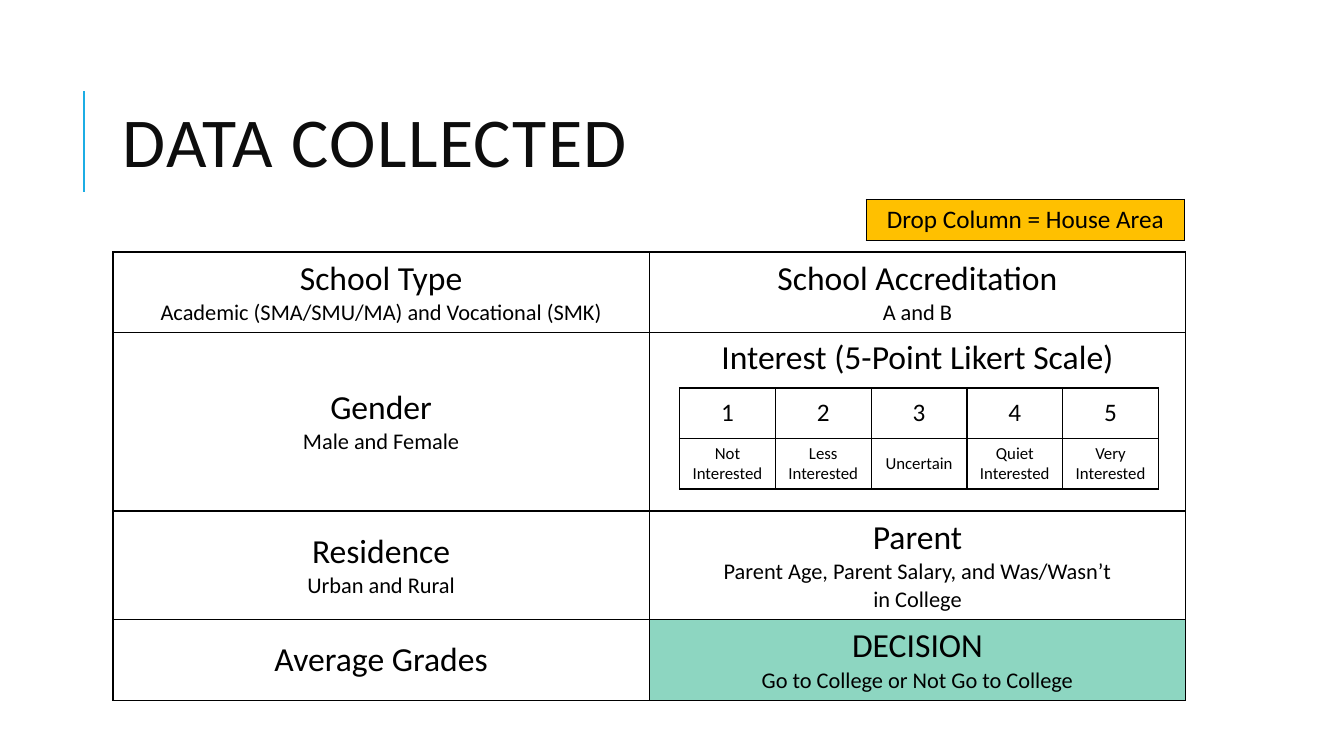
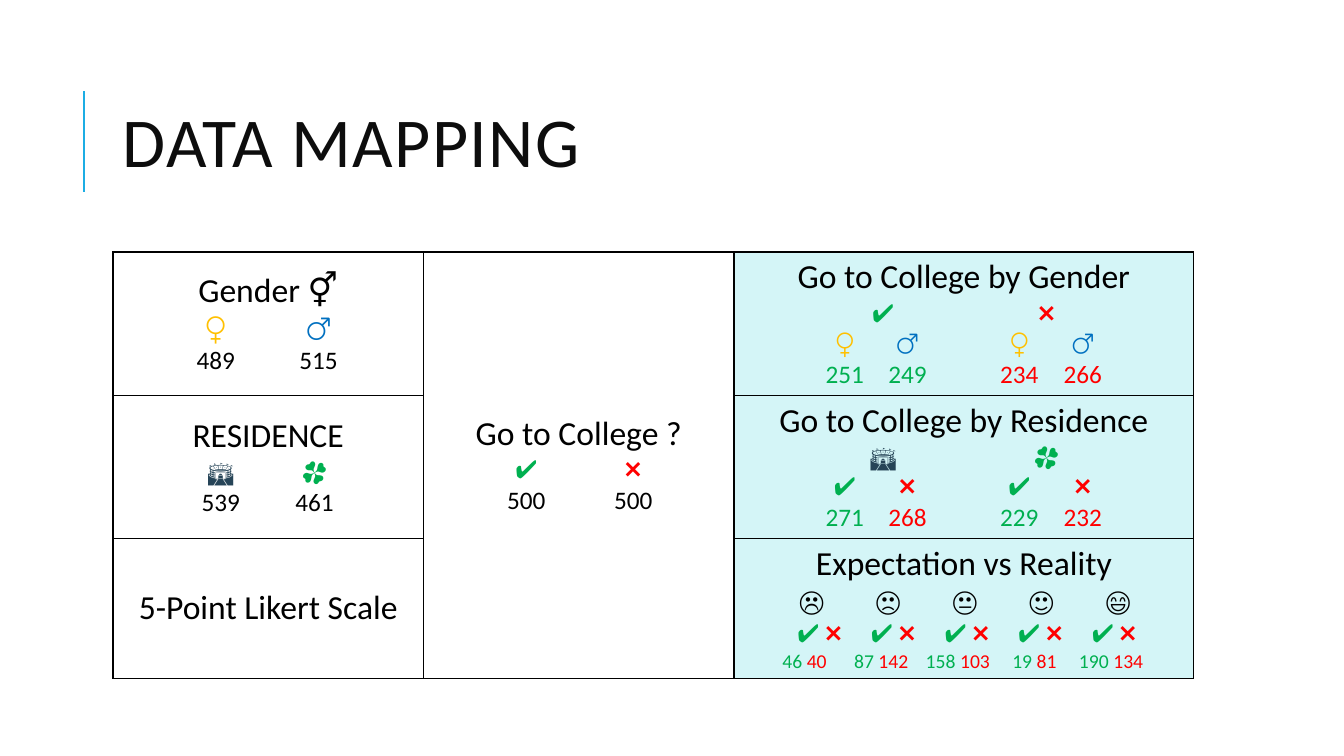
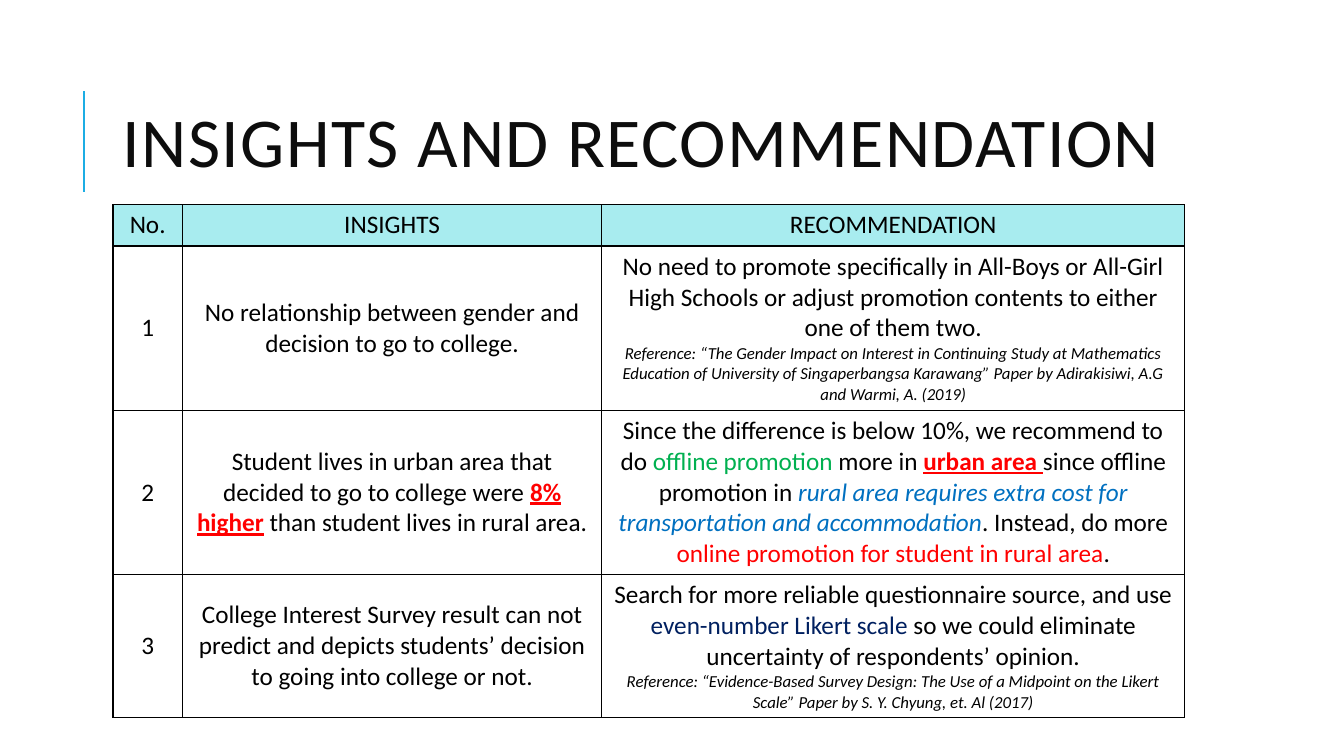
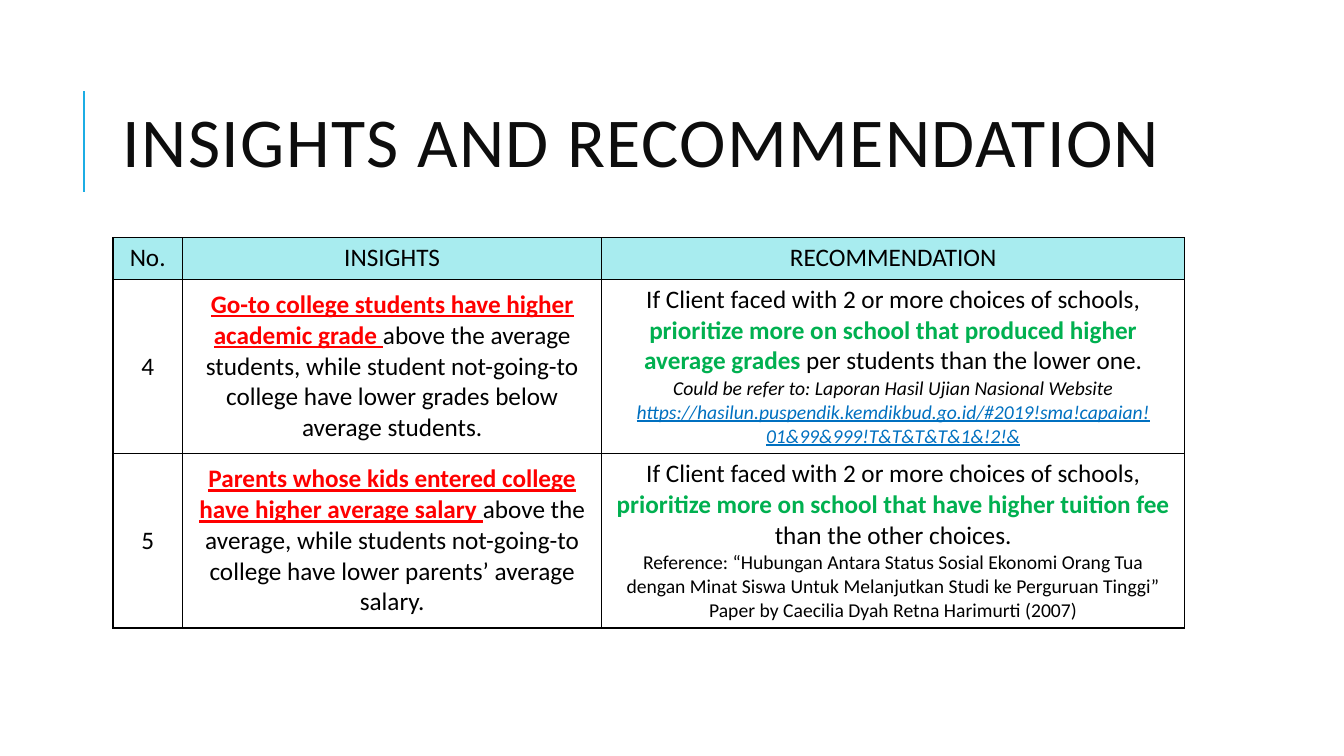
from dataclasses import dataclass
from itertools import cycle

from lxml.etree import SubElement
from pptx import Presentation
from pptx.dml.color import RGBColor
from pptx.enum.shapes import MSO_CONNECTOR
from pptx.enum.text import MSO_ANCHOR, PP_ALIGN
from pptx.oxml.ns import qn
from pptx.util import Inches, Pt

FONT = "Calibri"
BLACK, TITLE_INK, ACCENT = "000000", "0D0D0D", "1CADE4"
RED, GREEN, BLUE, NAVY, GOLD, SLATE = "FF0000", "00B050", "0070C0", "002060", "FFC000", "264457"
HEADER_FILL, RESULT_FILL, DECISION_FILL = "A8ECEF", "D4F5F7", "8DD6C1"
LEFT = 1.12

KEY = {"color": RED, "bold": True, "underline": True}
ADVICE = {"color": GREEN, "bold": True}


def rgb(hex_code):
    return RGBColor.from_string(hex_code)


@dataclass
class Line:
    """One paragraph: a string, or a list of strings and (string, style) spans."""
    spans: object
    size: int = 18
    italic: bool = False
    stops: tuple = ()


@dataclass
class Cell:
    lines: list
    fill: str = ""
    anchor: object = MSO_ANCHOR.MIDDLE


def entry(heading, *details, fill="", anchor=MSO_ANCHOR.MIDDLE):
    """A cell with a large heading over smaller lines."""
    lines = [detail if isinstance(detail, Line) else Line(detail, 16) for detail in details]
    return Cell([Line(heading, 24), *lines], fill, anchor)


def tabbed(texts, colors, stops, size=18):
    """Coloured items, each centred on its own tab stop."""
    spans = [("\t" + text, {"color": color}) for text, color in zip(texts, cycle(colors))]
    return Line(spans, size, stops=stops)


def tabbed_pairs(pairs, stops, size=18):
    """Green and red pairs, each pair centred on one tab stop."""
    spans = []
    for yes, no in pairs:
        spans += [(f"\t{yes} ", {"color": GREEN}), (str(no), {"color": RED})]
    return Line(spans, size, stops=stops)


def even_stops(first, step, count=5):
    return tuple(first + step * index for index in range(count))


class Deck:
    def __init__(self):
        self.deck = Presentation()
        self.deck.slide_width, self.deck.slide_height = Inches(13.33), Inches(7.5)
        self.page = None

    def add_page(self, title):
        self.page = self.deck.slides.add_slide(self.deck.slide_layouts[6])
        self.accent_line()
        self.title(title)

    def accent_line(self):
        line = self.page.shapes.add_connector(
            MSO_CONNECTOR.STRAIGHT, Inches(0.83), Inches(1.9), Inches(0.83), Inches(0.9))
        line.line.color.rgb = rgb(ACCENT)
        line.line.width = Pt(1.5)
        SubElement(line._element.spPr, qn("a:effectLst"))

    def title(self, text):
        box = self.page.shapes.add_textbox(Inches(LEFT), Inches(0.64), Inches(10.63), Inches(1.64))
        frame = box.text_frame
        frame.word_wrap = True
        frame.vertical_anchor = MSO_ANCHOR.MIDDLE
        para = frame.paragraphs[0]
        para.line_spacing = 0.8
        self.font(para, 50, TITLE_INK)
        span = para.add_run()
        span.text = text
        span._r.get_or_add_rPr().set("spc", "100")

    def font(self, para, size, color=BLACK):
        para.font.name = FONT
        para.font.size = Pt(size)
        para.font.color.rgb = rgb(color)

    def table(self, left, top, widths, heights, rows):
        """Draw a bordered table; None in rows is a cell covered by the one above."""
        frame = self.page.shapes.add_table(
            len(heights), len(widths), Inches(left), Inches(top),
            Inches(sum(widths)), Inches(sum(heights)))
        table = frame.table
        table.first_row = table.horz_banding = False
        for column, width in zip(table.columns, widths):
            column.width = Inches(width)
        for row, height in zip(table.rows, heights):
            row.height = Inches(height)
        for row_index, row in enumerate(rows):
            for column_index, content in enumerate(row):
                cell = table.cell(row_index, column_index)
                self.borders(cell)
                if content is None:
                    cell.fill.background()
                    continue
                self.fill_cell(cell, content)
                last = row_index
                while last + 1 < len(rows) and rows[last + 1][column_index] is None:
                    last += 1
                if last > row_index:
                    cell.merge(table.cell(last, column_index))

    def borders(self, cell):
        properties = cell._tc.get_or_add_tcPr()
        for side in ("lnL", "lnR", "lnT", "lnB"):
            edge = SubElement(properties, qn("a:" + side), w=str(Pt(1)))
            solid = SubElement(edge, qn("a:solidFill"))
            SubElement(solid, qn("a:srgbClr"), val=BLACK)

    def fill_cell(self, cell, content):
        if content.fill:
            cell.fill.solid()
            cell.fill.fore_color.rgb = rgb(content.fill)
        else:
            cell.fill.background()
        cell.vertical_anchor = content.anchor
        frame = cell.text_frame
        for index, line in enumerate(content.lines):
            para = frame.add_paragraph() if index else frame.paragraphs[0]
            self.set_line(para, line)

    def set_line(self, para, line):
        self.font(para, line.size)
        para.font.italic = line.italic
        para.alignment = PP_ALIGN.LEFT if line.stops else PP_ALIGN.CENTER
        if line.stops:
            self.tab_stops(para, line.stops)
        for part in [line.spans] if isinstance(line.spans, str) else line.spans:
            text, style = (part, {}) if isinstance(part, str) else part
            span = para.add_run()
            span.text = text
            span.font.bold = style.get("bold")
            span.font.italic = style.get("italic")
            span.font.underline = style.get("underline")
            if "color" in style:
                span.font.color.rgb = rgb(style["color"])

    def tab_stops(self, para, stops):
        properties = para._p.get_or_add_pPr()
        tabs = SubElement(properties, qn("a:tabLst"))
        for stop in stops:
            SubElement(tabs, qn("a:tab"), pos=str(Inches(stop)), algn="ctr")
        properties.insert(0, tabs)

    def insights(self, top, heights, findings):
        """Numbered table of (number, insight line, recommendation lines)."""
        header = [Cell([Line(text)], HEADER_FILL, MSO_ANCHOR.TOP)
                  for text in ("No.", "INSIGHTS", "RECOMMENDATION")]
        rows = [[Cell([Line(str(number))]), Cell([Line(insight)]), Cell(advice)]
                for number, insight, advice in findings]
        self.table(LEFT, top, [0.69, 4.16, 5.78], [0.41, *heights], [header, *rows])


def add_data_collected(deck):
    deck.add_page("DATA COLLECTED")
    deck.table(LEFT, 2.5, [5.32] * 2, [0.8, 1.77, 1.08, 0.8], [
        [entry("School Type", "Academic (SMA/SMU/MA) and Vocational (SMK)"),
         entry("School Accreditation", "A and B")],
        [entry("Gender", "Male and Female"),
         entry("Interest (5-Point Likert Scale)", anchor=MSO_ANCHOR.TOP)],
        [entry("Residence", "Urban and Rural"),
         entry("Parent", "Parent Age, Parent Salary, and Was/Wasn’t", "in College")],
        [entry("Average Grades"),
         entry("DECISION", "Go to College or Not Go to College", fill=DECISION_FILL)],
    ])
    scale = ["Not Interested", "Less Interested", "Uncertain", "Quiet Interested", "Very Interested"]
    deck.table(6.74, 3.85, [0.95] * 5, [0.5] * 2, [
        [Cell([Line(str(score))]) for score in range(1, 6)],
        [Cell([Line(label, 12)]) for label in scale],
    ])
    deck.table(8.59, 1.98, [3.16], [0.41],
               [[Cell([Line("Drop Column = House Area")], GOLD, MSO_ANCHOR.TOP)]])


def add_data_mapping(deck):
    deck.add_page("DATA MAPPING")
    answers, answer_colors = ["✔", "❌"], [GREEN, RED]
    sexes, sex_colors = ["♀", "♂"], [GOLD, BLUE]
    places, place_colors = ["🏟", "🍀"], [SLATE, GREEN]
    gender_stops, place_stops, college_stops = (0.92, 1.94), (0.97, 1.9), (0.92, 1.98)
    group_stops, pair_stops = (1.38, 3.0), (1.0, 1.62, 2.73, 3.36)
    reality = [(46, 40), (87, 142), (158, 103), (19, 81), (190, 134)]

    gender = entry("Gender ⚥", tabbed(sexes, sex_colors, gender_stops, 20),
                   tabbed(["489", "515"], [BLACK], gender_stops))
    college = entry("Go to College ?", tabbed(answers, answer_colors, college_stops),
                    tabbed(["500", "500"], [BLACK], college_stops))
    by_gender = entry(
        "Go to College by Gender", tabbed(answers, answer_colors, group_stops),
        tabbed(sexes * 2, sex_colors, pair_stops),
        tabbed(["251", "249", "234", "266"], [GREEN, GREEN, RED, RED], pair_stops),
        fill=RESULT_FILL)
    residence = entry("RESIDENCE", tabbed(places, place_colors, place_stops),
                      tabbed(["539", "461"], [BLACK], place_stops))
    by_residence = entry(
        "Go to College by Residence", tabbed(places, place_colors, group_stops),
        tabbed(answers * 2, answer_colors, pair_stops),
        tabbed(["271", "268", "229", "232"], answer_colors, pair_stops),
        fill=RESULT_FILL)
    expectation = entry(
        "Expectation vs Reality",
        tabbed("☹🙁😐🙂😄", [BLACK], even_stops(0.67, 0.76), 20),
        tabbed_pairs([answers] * 5, even_stops(0.75, 0.73)),
        tabbed_pairs(reality, even_stops(0.6, 0.76), 14),
        fill=RESULT_FILL)
    deck.table(LEFT, 2.5, [3.08, 3.08, 4.56], [1.42, 1.42, 1.39], [
        [gender, college, by_gender],
        [residence, None, by_residence],
        [entry("5-Point Likert Scale"), None, expectation],
    ])


def add_first_insights(deck):
    deck.add_page("INSIGHTS AND RECOMMENDATION")
    deck.insights(2.03, [1.63, 1.63, 1.42], [
        (1, "No relationship between gender and decision to go to college.", [
            Line("No need to promote specifically in All-Boys or All-Girl High Schools or adjust "
                 "promotion contents to either one of them two."),
            Line("Reference: “The Gender Impact on Interest in Continuing Study at Mathematics "
                 "Education of University of Singaperbangsa Karawang” Paper by Adirakisiwi, A.G "
                 "and Warmi, A. (2019)", 12, italic=True)]),
        (2, ["Student lives in urban area that decided to go to college were ",
             ("8% higher", KEY), " than student lives in rural area."], [
            Line(["Since the difference is below 10%, we recommend to do ",
                  ("offline promotion", {"color": GREEN}), " more in ", ("urban area ", KEY),
                  "since offline promotion in ",
                  ("rural area requires extra cost for transportation and accommodation",
                   {"color": BLUE, "italic": True}),
                  ". Instead, do more ",
                  ("online promotion for student in rural area", {"color": RED}), "."])]),
        (3, "College Interest Survey result can not predict and depicts students’ decision to "
            "going into college or not.", [
            Line(["Search for more reliable questionnaire source, and use ",
                  ("even-number Likert scale", {"color": NAVY}),
                  " so we could eliminate uncertainty of respondents’ opinion."]),
            Line("Reference: “Evidence-Based Survey Design: The Use of a Midpoint on the Likert "
                 "Scale” Paper by S. Y. Chyung, et. Al (2017)", 12, italic=True)]),
    ])


def add_last_insights(deck):
    deck.add_page("INSIGHTS AND RECOMMENDATION")
    condition = "If Client faced with 2 or more choices of schools, "
    deck.insights(2.36, [1.73, 1.73], [
        (4, [("Go-to college students have higher academic grade ", KEY),
             "above the average students, while student not-going-to college have lower grades "
             "below average students."], [
            Line([condition,
                  ("prioritize more on school that produced higher average grades ", ADVICE),
                  "per students than the lower one."]),
            Line(["Could be refer to: Laporan Hasil Ujian Nasional Website ",
                  ("https://hasilun.puspendik.kemdikbud.go.id/#2019!sma!capaian!"
                   "01&99&999!T&T&T&T&1&!2!&", {"color": BLUE, "underline": True})],
                 14, italic=True)]),
        (5, [("Parents whose kids entered college have higher average salary ", KEY),
             "above the average, while students not-going-to college have lower parents’ "
             "average salary."], [
            Line([condition,
                  ("prioritize more on school that have higher tuition fee ", ADVICE),
                  "than the other choices."]),
            Line("Reference: “Hubungan Antara Status Sosial Ekonomi Orang Tua dengan Minat Siswa "
                 "Untuk Melanjutkan Studi ke Perguruan Tinggi” Paper by Caecilia Dyah Retna "
                 "Harimurti (2007)", 14)]),
    ])


def main():
    deck = Deck()
    add_data_collected(deck)
    add_data_mapping(deck)
    add_first_insights(deck)
    add_last_insights(deck)
    deck.deck.save("out.pptx")


if __name__ == "__main__":
    main()
